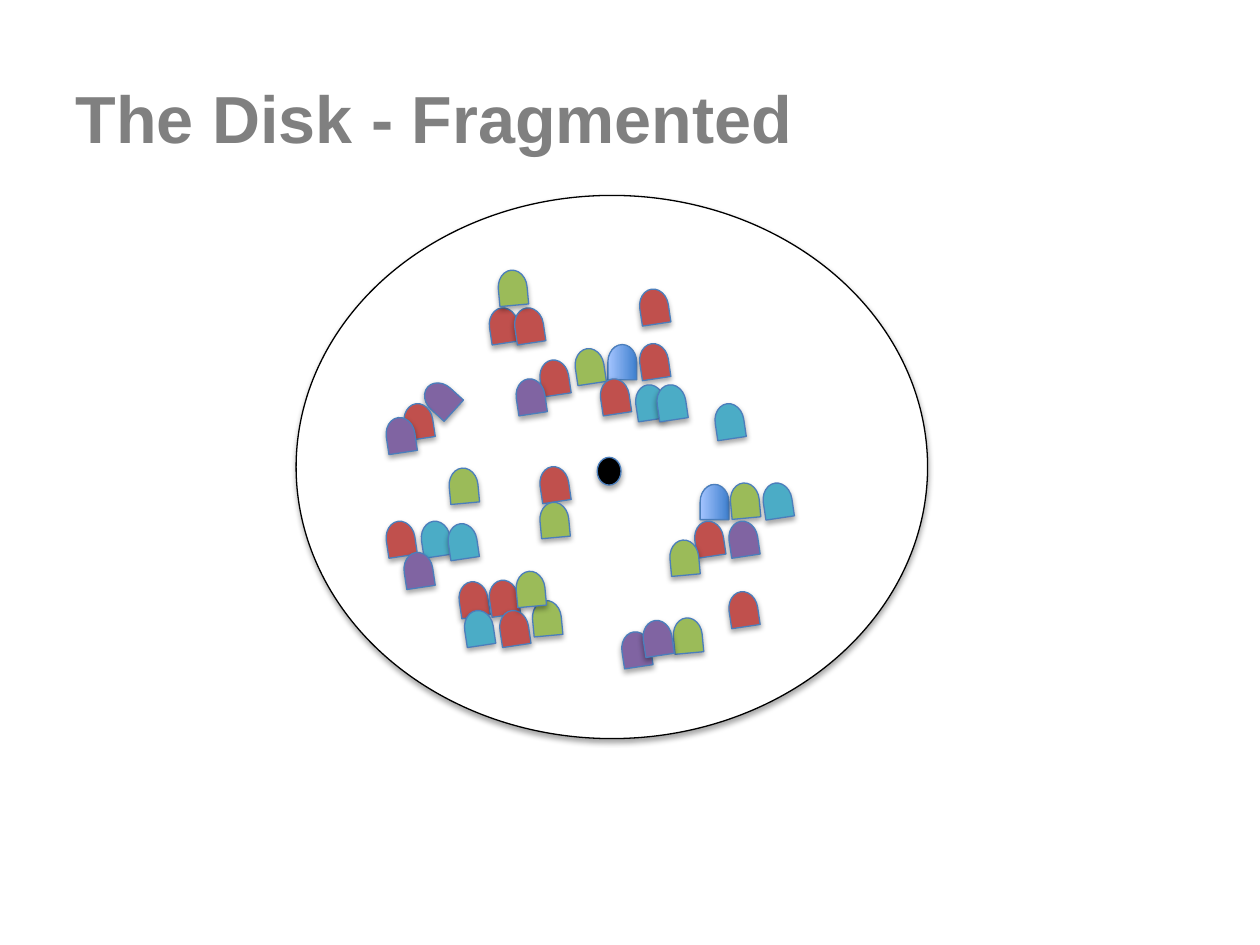
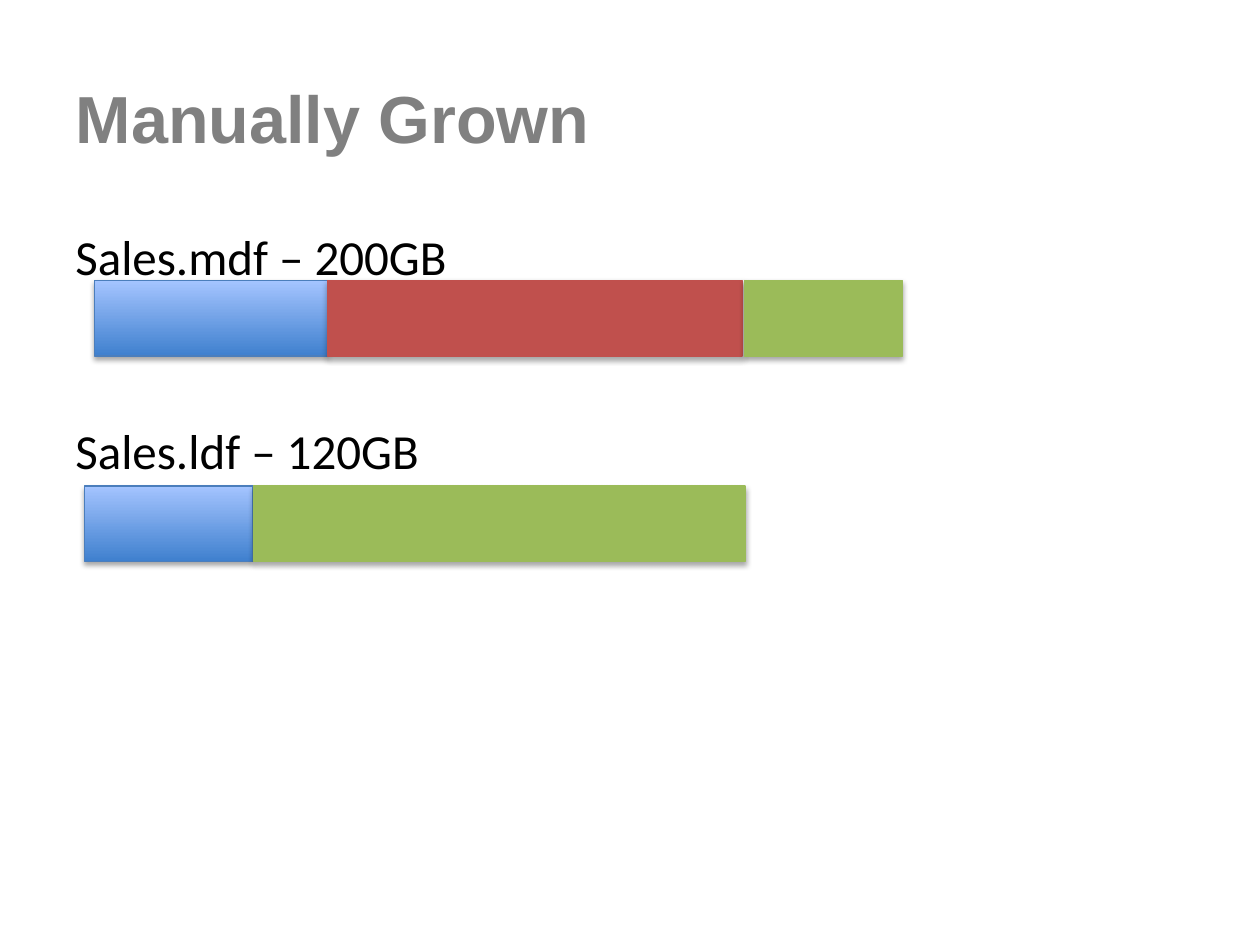
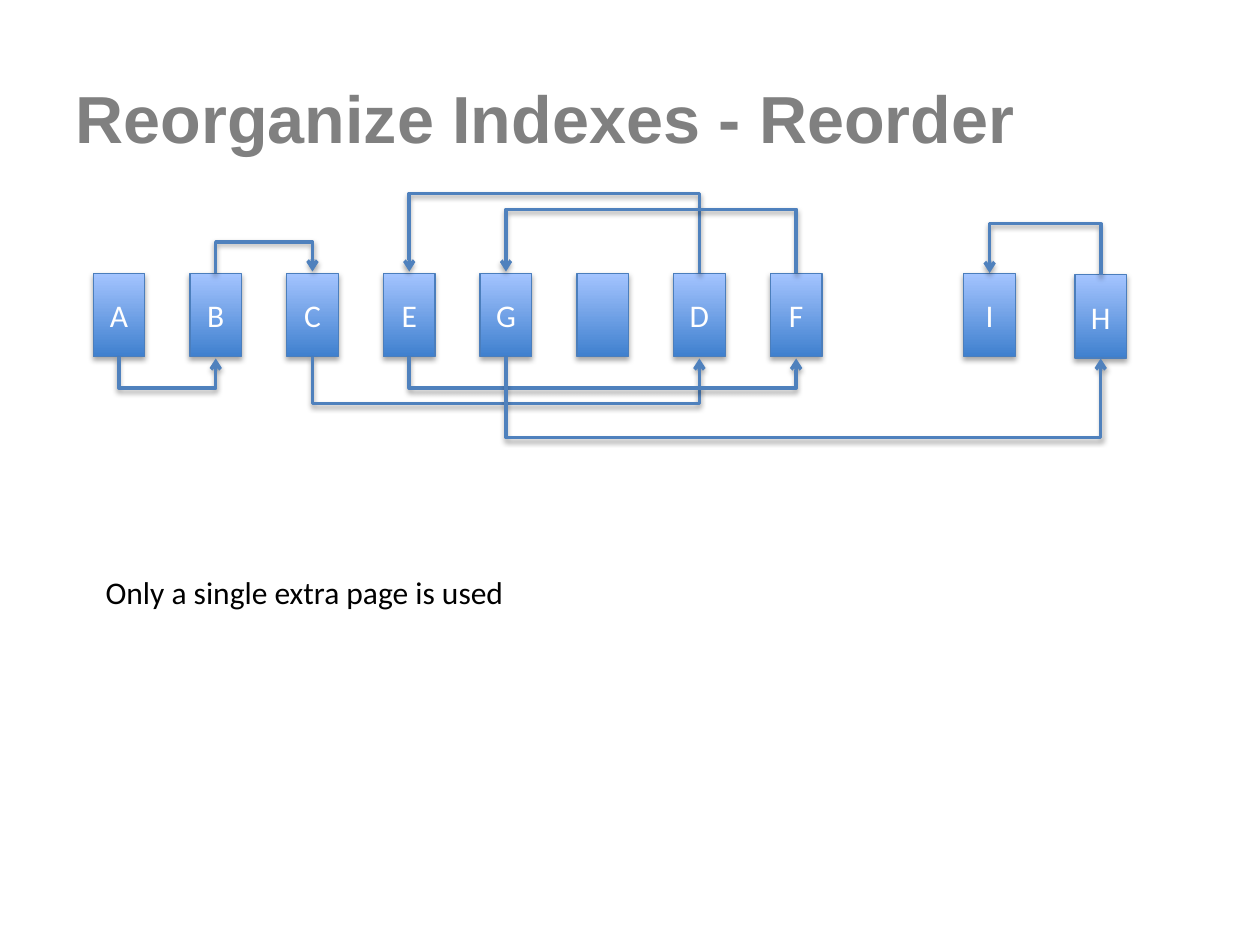
"""Build three slides on disk fragmentation, file growth and index reordering."""
from lxml import etree
from pptx import Presentation, util as u
from pptx.dml.color import RGBColor
from pptx.enum import shapes, text
from pptx.oxml.ns import qn

CM = u.Cm
KIND = shapes.MSO_SHAPE
MID = text.MSO_ANCHOR.MIDDLE
LEFT, CENTER = text.PP_ALIGN.LEFT, text.PP_ALIGN.CENTER
BLUE = ("3F80CE", "A4C4FF")
RED, GREEN, PURPLE, TEAL = "C0504D", "9BBB59", "8064A2", "4BACC6"
EDGE, WIRE, BLACK, WHITE, GRAY = "4B7EBC", "4F81BD", "000000", "FFFFFF", "808080"


def rgb(code):
    return RGBColor.from_string(code)


def put(item, vals):
    for key, val in vals.items():
        setattr(item, key, val)


def add(node, tag, **vals):
    return etree.SubElement(node, qn(tag), {k: str(v) for k, v in vals.items()})


class Deck:
    def __init__(self):
        self.prs = Presentation()
        put(self.prs, {"slide_width": CM(25.4), "slide_height": CM(19.05)})
        self.slide = None

    def place(self, item, box):
        put(item, dict(zip(("left", "top", "width", "height"), map(CM, box))))

    def letter(self, item, words, size, color, font="Calibri", bold=False,
               align=LEFT, anchor=text.MSO_ANCHOR.TOP):
        frame = item.text_frame
        put(frame, {"text": words, "word_wrap": True, "vertical_anchor": anchor,
                    "auto_size": text.MSO_AUTO_SIZE.NONE})
        para = frame.paragraphs[0]
        para.alignment = align
        run = para.runs[0].font
        put(run, {"name": font, "size": u.Pt(size), "bold": bold})
        run.color.rgb = rgb(color)

    def page(self, words):
        self.slide = self.prs.slides.add_slide(self.prs.slide_layouts[5])
        title = self.slide.shapes.title
        self.place(title, (1.27, 0.76, 22.86, 3.18))
        self.letter(title, words, 38, GRAY, "Arial", True, anchor=MID)

    def label(self, words, box, size):
        item = self.slide.shapes.add_textbox(*map(CM, box))
        self.letter(item, words, size, BLACK)

    def shade(self, effects):
        drop = add(effects, "a:outerShdw", blurRad=u.Pt(3.1), dist=u.Pt(1.8),
                   dir=5400000, rotWithShape=0)
        add(add(drop, "a:srgbClr", val=BLACK), "a:alpha", val=35000)

    def shape(self, kind, box, fill, edge=EDGE, tilt=0, words=""):
        item = self.slide.shapes.add_shape(kind, *map(CM, box))
        item.rotation = tilt
        if isinstance(fill, tuple):
            item.fill.gradient()
            item.fill.gradient_angle = 90
            for spot, (stop, code) in enumerate(zip(item.fill.gradient_stops, fill)):
                stop.position = spot
                stop.color.rgb = rgb(code)
        else:
            item.fill.solid()
            item.fill.fore_color.rgb = rgb(fill)
        item.line.color.rgb = rgb(edge)
        item.line.width = u.Pt(0.75)
        item.shadow.inherit = False
        self.shade(item._element.spPr.find(qn("a:effectLst")))
        if words:
            self.letter(item, words, 18, WHITE, align=CENTER, anchor=MID)
        return item

    def hook(self, start, end, depth, above):
        item = self.slide.shapes.add_connector(shapes.MSO_CONNECTOR.ELBOW, 0, 0, 0, 0)
        side = 0 if above else 2
        item.begin_connect(start, side)
        item.end_connect(end, side)
        x, far = item.begin_x, item.end_x
        y, thin, span = item.begin_y, u.Pt(1), abs(far - x)
        right = far > x
        put(item, {"left": (x + far - thin) // 2, "width": thin, "height": span,
                   "top": y - span // 2 + (-thin // 2 if above else thin // 2)})
        props = item._element.spPr
        turn = 90 if above and right else 270
        for key, val in {"rot": turn * 60000, "flipH": int(right),
                         "flipV": int(above)}.items():
            props.xfrm.set(key, str(val))
        geom = props.find(qn("a:prstGeom"))
        bends = geom.find(qn("a:avLst"))
        if bends is None:
            bends = add(geom, "a:avLst")
        add(bends, "a:gd", name="adj1", fmla=f"val {round(CM(depth) / thin * 100000)}")
        item.line.color.rgb = rgb(WIRE)
        item.line.width = u.Pt(2)
        add(props.find(qn("a:ln")), "a:tailEnd", type="arrow")
        self.shade(add(props, "a:effectLst"))


def disk(deck):
    deck.page("The Disk - Fragmented")
    deck.shape(KIND.OVAL, (5.97, 3.94, 12.73, 10.95), WHITE, BLACK)
    deck.shape(KIND.OVAL, (12.04, 9.22, 0.48, 0.56), BLACK)
    lean, slant = 261.5, 264.7
    parts = (
        (BLUE, 270, ((12.19, 7.01), (14.05, 9.83))),
        (GREEN, lean, ((11.53, 7.09),)),
        (GREEN, slant, ((14.66, 9.8),)),
        (PURPLE, 222.3, ((8.53, 7.75),)),
        (PURPLE, lean, ((12.47, 12.8),)),
        (TEAL, lean, ((8.43, 10.57), (14.35, 8.2))),
        (RED, lean, ((9.19, 11.79), (9.8, 11.76), (10.01, 12.37), (9.8, 6.27),
                     (10.31, 6.27), (12.83, 5.89), (10.82, 9.47), (14.63, 11.99))),
        (GREEN, slant, ((13.51, 12.52), (8.99, 9.5))),
        (TEAL, lean, ((15.32, 9.8),)),
        (RED, lean, ((8.08, 8.2), (10.82, 7.32), (12.04, 7.7), (13.94, 10.57),
                     (12.83, 6.99), (7.72, 10.57))),
        (GREEN, slant, ((10.82, 10.19), (13.44, 10.95), (10.67, 12.17),
                        (10.34, 11.58), (9.98, 5.51))),
        (TEAL, lean, ((9.3, 12.37), (12.75, 7.82), (8.97, 10.62), (13.18, 7.82))),
        (PURPLE, lean, ((12.9, 12.57), (14.63, 10.57), (10.34, 7.7), (7.72, 8.48),
                        (8.08, 11.2))),
    )
    for fill, tilt, spots in parts:
        for x, y in spots:
            deck.shape(KIND.FLOWCHART_DELAY, (x, y, 0.71, 0.58), fill, tilt=tilt)


def growth(deck):
    deck.page("Manually Grown")
    deck.label("Sales.mdf – 200GB", (1.27, 4.45, 21.03, 2.74), 28)
    deck.label("Sales.ldf – 120GB", (1.27, 8.36, 22.86, 1.45), 28)
    bars = (
        (5.66, ((1.91, 4.7, BLUE, EDGE), (6.6, 8.36, RED, RED),
                (15.01, 3.18, GREEN, GREEN))),
        (9.8, ((1.7, 3.4, BLUE, EDGE), (5.11, 9.91, GREEN, GREEN))),
    )
    for y, parts in bars:
        for x, wide, fill, edge in parts:
            deck.shape(KIND.RECTANGLE, (x, y, wide, 1.52), fill, edge)


def order(deck):
    deck.page("Reorganize Indexes - Reorder")
    cells = [(1.88 + 1.95 * n, 5.51, name)
             for n, name in enumerate(("A", "B", "C", "E", "G", "", "D", "F", None, "I"))
             if name is not None]
    cells.append((21.67, 5.54, "H"))
    pages = {name: deck.shape(KIND.RECTANGLE, (x, y, 1.04, 1.68), BLUE, words=name)
             for x, y, name in cells}
    hooks = (("AB", 0.64, False), ("BC", 0.64, True), ("CD", 0.95, False),
             ("DE", 1.62, True), ("EF", 0.64, False), ("FG", 1.3, True),
             ("GH", 1.64, False), ("HI", 1.04, True))
    for (start, end), depth, above in hooks:
        deck.hook(pages[start], pages[end], depth, above)
    deck.label("Only a single extra page is used", (1.88, 11.43, 9.75, 1.02), 18)


def main():
    deck = Deck()
    for draw in (disk, growth, order):
        draw(deck)
    deck.prs.save("out.pptx")


if __name__ == "__main__":
    main()
